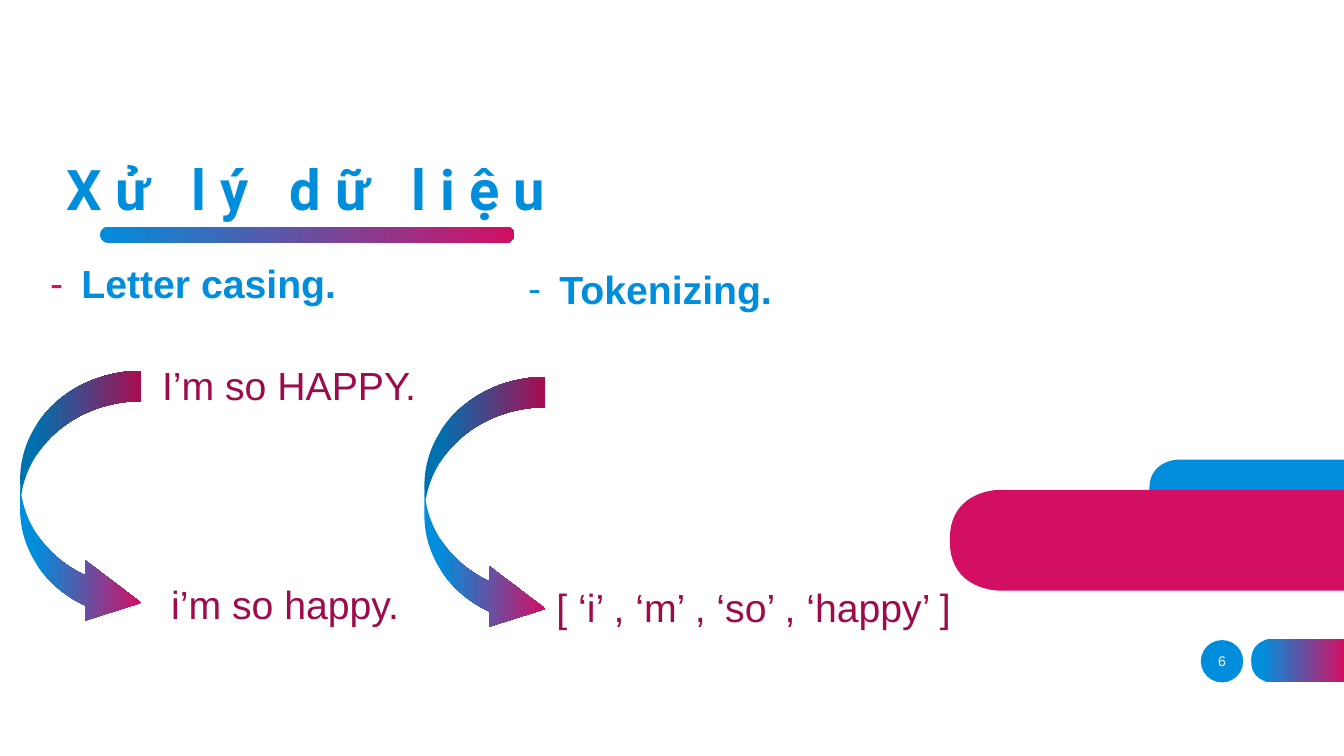
from lxml import etree
from pptx import Presentation
from pptx import util as u
from pptx.dml.color import RGBColor
from pptx.enum import shapes, text
from pptx.oxml.ns import qn

HUES = {"blue": "008EDC", "pink": "D30F64", "wine": "9E0B4B", "white": "FFFFFF"}
KIND = shapes.MSO_SHAPE
BODY = {"size": u.Pt(28), "name": "Arial"}
HEAD = {**BODY, "bold": True}


class Deck:
    def __init__(self):
        self.show = Presentation()
        self.show.slide_width = u.Inches(13.33)
        self.show.slide_height = u.Inches(7.5)
        self.slide = self.show.slides.add_slide(self.show.slide_layouts[6])

    def paint(self, fill, hue):
        if isinstance(hue, str):
            fill.solid()
            fill.fore_color.rgb = RGBColor.from_string(HUES[hue])
            return
        fill.gradient()
        fill.gradient_angle = 0
        for stop, (name, place) in zip(fill.gradient_stops, hue):
            stop.color.rgb = RGBColor.from_string(HUES[name])
            stop.position = place

    def finish(self, shape, hue):
        shape.shadow.inherit = False
        shape.line.fill.background()
        self.paint(shape.fill, hue)

    def shape(self, kind, box, hue, adjust=()):
        shape = self.slide.shapes.add_shape(kind, *map(u.Inches, box))
        for i, value in enumerate(adjust):
            shape.adjustments[i] = value
        self.finish(shape, hue)

    def tab(self, left, top, right, bottom, bend, hue):
        curve = []
        for i in range(21):
            t = i / 20
            across = bend * ((1 - t) ** 3 + 3 * t * (1 - t) ** 2)
            curve.append((left + across, bend * t ** 3))
        edge = [(x, top + y) for x, y in curve]
        edge += [(x, bottom - y) for x, y in reversed(curve)]
        edge += [(right, bottom), (right, top)]
        path = [(u.Inches(x), u.Inches(y)) for x, y in edge]
        form = self.slide.shapes.build_freeform(*path[0])
        form.add_line_segments(path[1:], close=True)
        self.finish(form.convert_to_shape(), hue)

    def text(self, words, box, hue, font, para=None, frame=None, dash=None):
        area = self.slide.shapes.add_textbox(*map(u.Inches, box)).text_frame
        line = area.paragraphs[0]
        run = line.add_run()
        run.text = words
        formats = (
            (area, {"word_wrap": True, **(frame or {})}),
            (line, para or {}),
            (run.font, font),
        )
        for target, values in formats:
            for name, value in values.items():
                setattr(target, name, value)
        self.paint(run.font.fill, hue)
        if dash:
            self.bullet(line, dash)
        return run

    def bullet(self, line, hue):
        props = line._p.get_or_add_pPr()
        props.set("marL", str(u.Inches(0.31)))
        props.set("indent", str(u.Inches(-0.31)))
        color = etree.SubElement(props, qn("a:buClr"))
        etree.SubElement(color, qn("a:srgbClr"), val=HUES[hue])
        etree.SubElement(props, qn("a:buFont"), typeface="Arial")
        etree.SubElement(props, qn("a:buChar"), char="-")


def main():
    deck = Deck()
    blend = (("blue", 0.12), ("pink", 1))
    sweep = (("blue", 0), ("pink", 1))
    middle = {"vertical_anchor": text.MSO_ANCHOR.MIDDLE}
    grow = {"auto_size": text.MSO_AUTO_SIZE.SHAPE_TO_FIT_TEXT}

    deck.shape(KIND.OVAL, (11.91, 6.35, 0.42, 0.42), "blue")
    deck.tab(12.41, 6.34, 13.33, 6.77, 0.21, blend)
    deck.shape(KIND.ROUNDED_RECTANGLE, (0.99, 2.25, 4.11, 0.16), sweep, [0.5])
    deck.tab(11.4, 4.56, 13.33, 5.14, 0.29, "blue")
    deck.tab(9.42, 4.86, 13.33, 5.86, 0.49, "pink")

    title = deck.text("Xử lý dữ liệu", (0.56, 1.48, 5.3, 0.86), sweep,
                      {"size": u.Pt(40), "name": "Roboto", "bold": True},
                      {"line_spacing": 0.9}, middle)
    title.font._element.set("spc", "1000")
    deck.text("Letter casing.", (0.4, 2.58, 3.06, 0.57), "blue", HEAD,
              {"line_spacing": 0.9, "space_before": u.Pt(10)}, dash="pink")
    deck.text("Tokenizing.", (5.14, 2.58, 6.68, 0.57), "blue", HEAD,
              frame=grow, dash="blue")
    deck.text("6", (11.82, 6.36, 0.6, 0.4), "white",
              {"size": u.Pt(10), "name": "Arial"},
              {"alignment": text.PP_ALIGN.CENTER}, middle)

    for words, left, top, width in (
        ("I’m so HAPPY.", 1.51, 3.54, 2.84),
        ("i’m so happy.", 1.6, 5.71, 2.84),
        ("[ ‘i’ , ‘m’ , ‘so’ , ‘happy’ ]", 5.42, 5.74, 4.18),
    ):
        deck.text(words, (left, top, width, 0.57), "wine", BODY, frame=grow)
    for left, top in ((0.2, 3.68), (4.21, 3.74)):
        deck.shape(KIND.CURVED_RIGHT_ARROW, (left, top, 1.2, 2.6), blend,
                   [0.25, 0.5, 0.463])

    deck.show.save("out.pptx")


if __name__ == "__main__":
    main()
